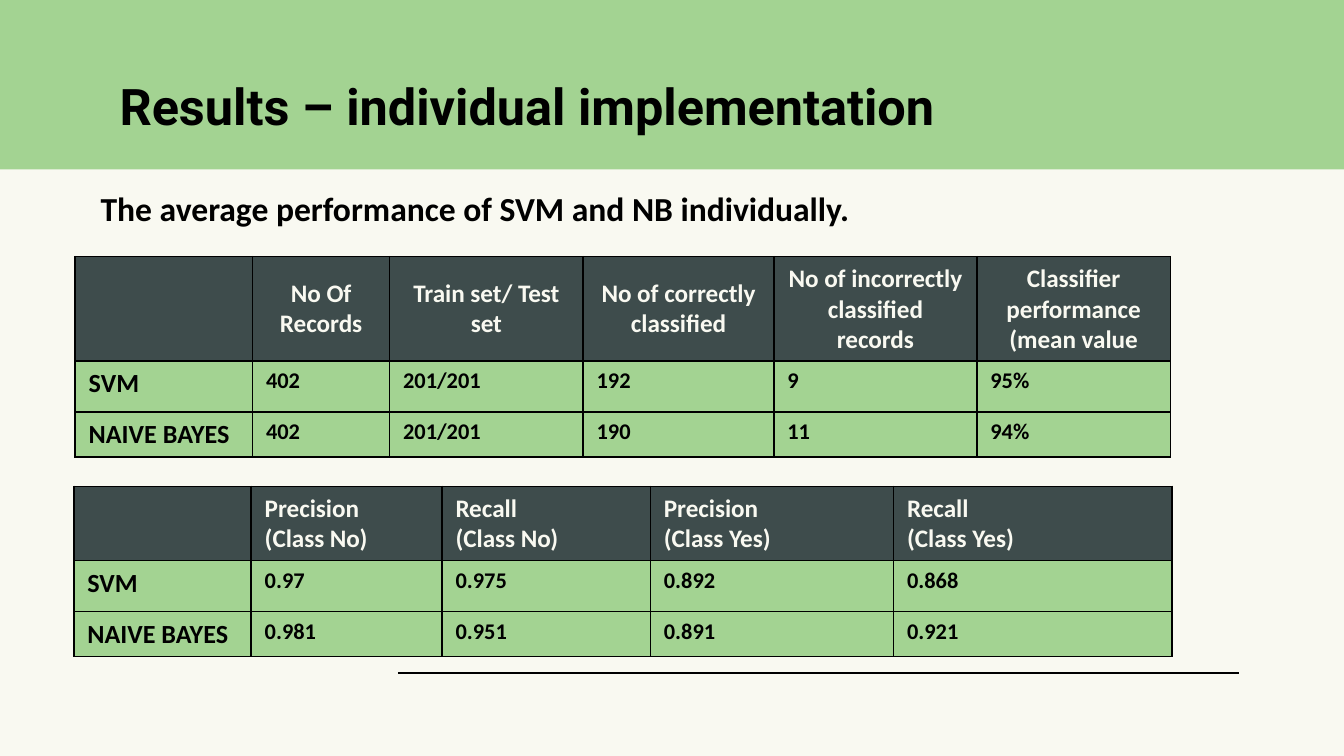
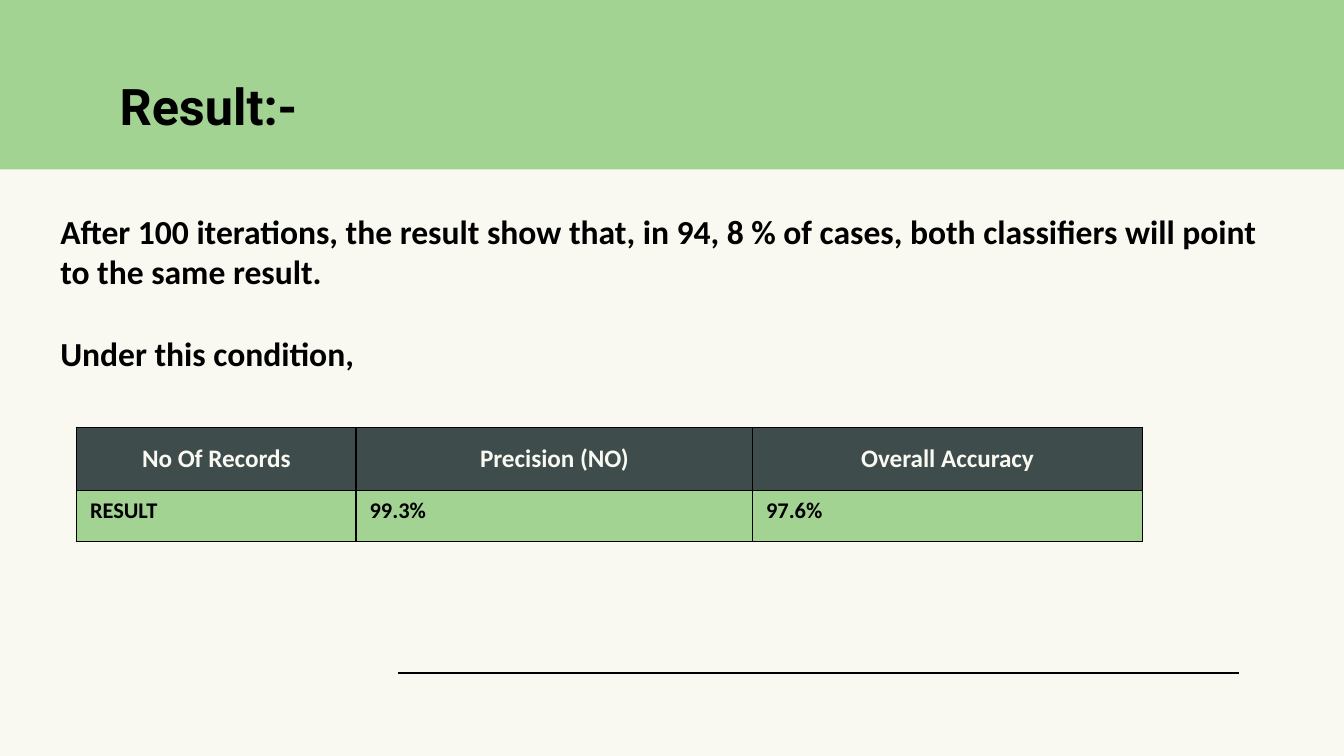
import dataclasses

import lxml.etree
import pptx
import pptx.dml.color
import pptx.enum.shapes
import pptx.enum.text
import pptx.oxml
import pptx.oxml.ns
import pptx.util

Inches = pptx.util.Inches
Align = pptx.enum.text.PP_ALIGN
Anchor = pptx.enum.text.MSO_ANCHOR


@dataclasses.dataclass(frozen=True)
class Theme:
    paper: str = "F9F9F1"
    green: str = "A3D392"
    slate: str = "3E4C4C"
    ink: str = "000000"
    title_font: str = "Roboto"
    body_font: str = "Calibri"
    title_size: float = 27
    body_size: float = 18
    header_size: float = 13.5
    label_size: float = 14
    value_size: float = 12
    line_width: float = 1


THEME = Theme()


def color(value):
    return pptx.dml.color.RGBColor.from_string(value)


def paint(fill, value):
    fill.solid()
    fill.fore_color.rgb = color(value)


def write(frame, lines, size, ink=THEME.ink, font=THEME.body_font, align=Align.LEFT):
    for index, line in enumerate(lines):
        paragraph = frame.paragraphs[0] if index == 0 else frame.add_paragraph()
        paragraph.alignment = align
        run = paragraph.add_run()
        run.text = line
        run.font.size = pptx.util.Pt(size)
        run.font.name = font
        run.font.bold = True
        run.font.color.rgb = color(ink)


def decorate_layout(layout, slide):
    paint(layout.background.fill, THEME.paper)
    band = slide.shapes.add_shape(
        pptx.enum.shapes.MSO_SHAPE.RECTANGLE,
        Inches(0), Inches(-0.01), Inches(10), Inches(1.27))
    band.shadow.inherit = False
    paint(band.fill, THEME.green)
    band.line.fill.background()

    rule = slide.shapes.add_connector(
        pptx.enum.shapes.MSO_CONNECTOR.STRAIGHT,
        Inches(2.96), Inches(5.01), Inches(9.22), Inches(5.01))
    rule.line.color.rgb = color(THEME.ink)
    rule.line.width = pptx.util.Pt(THEME.line_width)
    lxml.etree.SubElement(rule.element.spPr, pptx.oxml.ns.qn("a:effectLst"))

    for number, shape in enumerate((band, rule), start=101):
        shape.element.xpath(".//p:cNvPr")[0].set("id", str(number))
        layout.shapes.element.append(shape.element)


def set_title(slide, text):
    title = slide.shapes.title
    title.left, title.top = Inches(0.79), Inches(0.6)
    title.width, title.height = Inches(8.42), Inches(0.43)
    frame = title.text_frame
    frame.vertical_anchor = Anchor.MIDDLE
    write(frame, [text], THEME.title_size, font=THEME.title_font)
    frame.paragraphs[0].line_spacing = 0.9


def add_statement(slide, left, top, width, height, lines):
    box = slide.shapes.add_textbox(
        Inches(left), Inches(top), Inches(width), Inches(height))
    frame = box.text_frame
    frame.word_wrap = False
    frame.auto_size = pptx.enum.text.MSO_AUTO_SIZE.SHAPE_TO_FIT_TEXT
    write(frame, lines, THEME.body_size)
    return frame


def add_borders(cell):
    properties = cell._tc.get_or_add_tcPr()
    width = pptx.util.Pt(THEME.line_width)
    for side in "LRTB":
        properties.append(pptx.oxml.parse_xml(
            f'<a:ln{side} {pptx.oxml.ns.nsdecls("a")} w="{width}"><a:solidFill>'
            f'<a:srgbClr val="{THEME.ink}"/></a:solidFill></a:ln{side}>'))


def add_results_table(slide, left, top, widths, heights, rows,
                      header_align=Align.CENTER, label_size=THEME.label_size):
    table = slide.shapes.add_table(
        len(rows), len(widths), Inches(left), Inches(top),
        Inches(sum(widths)), Inches(sum(heights))).table
    for column, width in zip(table.columns, widths):
        column.width = Inches(width)
    for row, height in zip(table.rows, heights):
        row.height = Inches(height)
    for row_index, texts in enumerate(rows):
        is_header = row_index == 0
        for column_index, text in enumerate(texts):
            cell = table.cell(row_index, column_index)
            add_borders(cell)
            paint(cell.fill, THEME.slate if is_header else THEME.green)
            if not text:
                continue
            if is_header:
                cell.vertical_anchor = Anchor.MIDDLE
                write(cell.text_frame, text.split("\n"), THEME.header_size,
                      THEME.paper, align=header_align)
            else:
                size = label_size if column_index == 0 else THEME.value_size
                write(cell.text_frame, [text], size)


def fill_individual_results(slide):
    set_title(slide, "Results – individual implementation")
    add_statement(slide, 0.65, 1.35, 5.82, 0.4,
                  ["The average performance of SVM and NB individually."])
    heights = [0.47, 0.38, 0.32]
    add_results_table(
        slide, 0.56, 1.91, [1.32, 1.02, 1.44, 1.42, 1.51, 1.44], heights,
        [["", "No Of Records", "Train set/ Test set", "No of correctly classified",
          "No of incorrectly classified records", "Classifier performance (mean value"],
         ["SVM", "402", "201/201", "192", "9", "95%"],
         ["NAIVE BAYES", "402", "201/201", "190", "11", "94%"]])
    add_results_table(
        slide, 0.55, 3.62, [1.32, 1.42, 1.55, 1.81, 2.07], heights,
        [["", "Precision\n(Class No)", "Recall\n(Class No)",
          "Precision\n(Class Yes)", "Recall\n(Class Yes)"],
         ["SVM", "0.97", "0.975", "0.892", "0.868"],
         ["NAIVE BAYES", "0.981", "0.951", "0.891", "0.921"]],
        header_align=Align.LEFT)


def fill_combined_result(slide):
    set_title(slide, "Result:-")
    frame = add_statement(
        slide, 0.35, 1.52, 9.25, 1.31,
        ["After 100 iterations, the result show that, in 94, 8 % of cases, "
         "both classifiers will point",
         "to the same result.",
         "Under this condition,"])
    frame.paragraphs[-1].space_before = pptx.util.Pt(22)
    add_results_table(
        slide, 0.57, 3.18, [2.08, 2.95, 2.9], [0.47, 0.38],
        [["No Of Records", "Precision (NO)", "Overall Accuracy"],
         ["RESULT", "99.3%", "97.6%"]],
        label_size=THEME.value_size)


def main():
    presentation = pptx.Presentation()
    presentation.slide_width = Inches(10)
    presentation.slide_height = Inches(10) * 9 // 16
    layout = presentation.slide_layouts.get_by_name("Title Only")
    individual = presentation.slides.add_slide(layout)
    combined = presentation.slides.add_slide(layout)
    decorate_layout(layout, individual)
    fill_individual_results(individual)
    fill_combined_result(combined)
    presentation.save("out.pptx")


if __name__ == "__main__":
    main()
